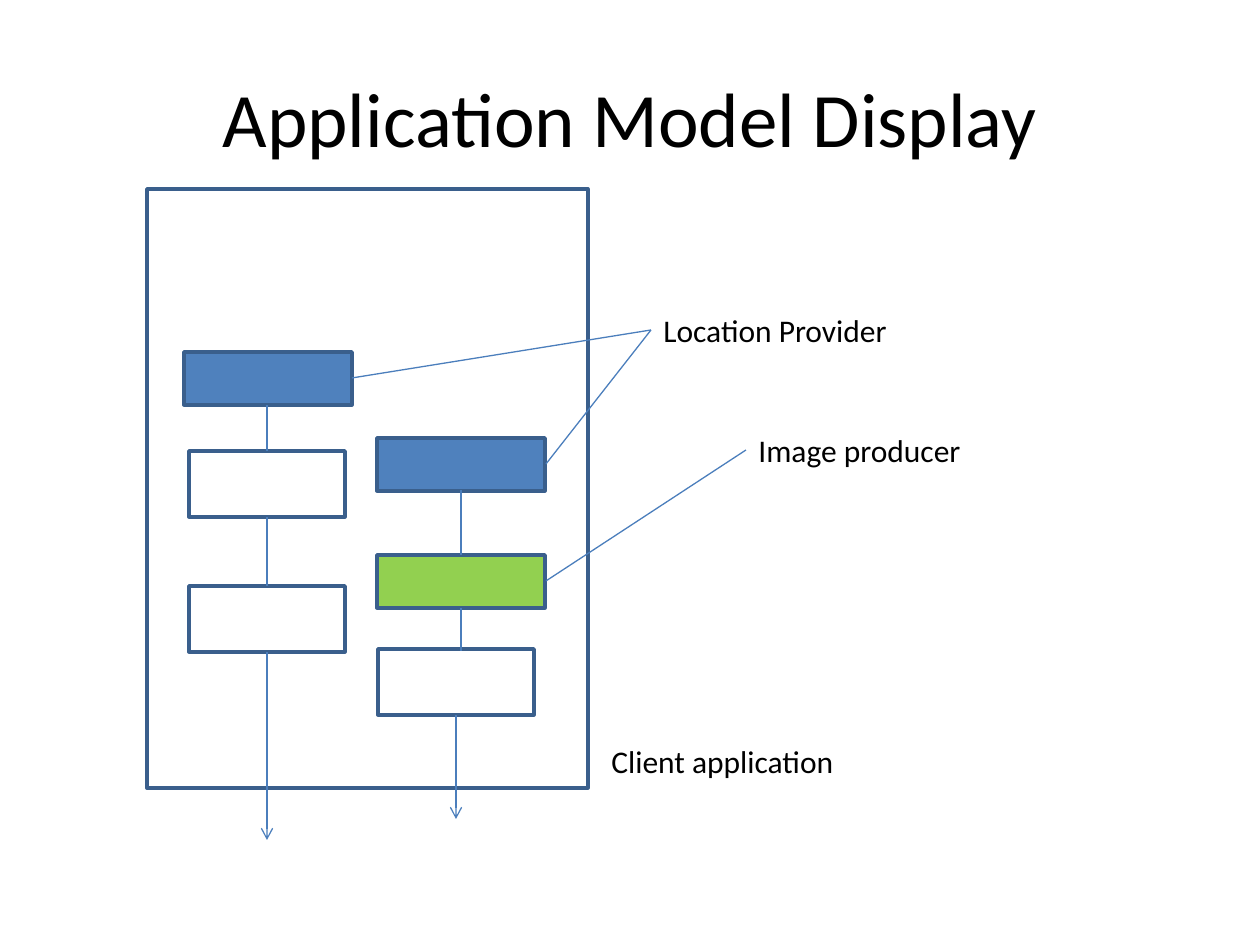
from pptx import Presentation
from pptx.dml.color import RGBColor
from pptx.enum.shapes import MSO_CONNECTOR as Connector, MSO_SHAPE as Shape
from pptx.enum.text import MSO_ANCHOR as Anchor, MSO_AUTO_SIZE as AutoSize, PP_ALIGN as Align
from pptx.oxml.ns import qn
from pptx.util import Pt
from lxml.etree import SubElement

PIXEL = 914400 // 126
BLACK = RGBColor(0, 0, 0)
BLUE = RGBColor(0x4F, 0x81, 0xBD)
GREEN = RGBColor(0x92, 0xD0, 0x50)
OUTLINE = RGBColor(0x3A, 0x5F, 0x8C)
LINK = RGBColor(0x4B, 0x7E, 0xBC)

CLIENT_FRAME = (147, 189, 441, 599)
PROVIDER_SIZE = (168, 53)
STEP_SIZE = (156, 66)
PROVIDERS = [(184, 352, BLUE), (377, 438, BLUE), (377, 555, GREEN)]
STEPS = [(189, 451), (189, 586), (378, 649)]
LABELS = [
    ("Client application", 599, 736, 251),
    ("Location Provider", 651, 305, 252),
    ("Image producer", 746, 425, 231),
]
POINTERS = [
    (352, 378, 651, 330),
    (546, 464, 651, 330),
    (546, 581, 746, 450),
]
CHAIN_LINKS = [
    (267, 405, 451),
    (267, 517, 586),
    (461, 490, 555),
    (461, 608, 651),
]
OUTPUT_ARROWS = [(267, 652, 840), (456, 715, 819)]


def scale(*pixels):
    return [pixel * PIXEL for pixel in pixels]


def apply_format(target, values):
    for name, value in values.items():
        setattr(target, name, value)


def style_text(frame, text, size, align):
    para = frame.paragraphs[0]
    para.alignment = align
    span = para.add_run()
    span.text = text
    apply_format(span.font, {"name": "Calibri", "size": Pt(size)})
    span.font.color.rgb = BLACK


def add_title(page, text):
    title = page.shapes.title
    left, top, width, height = scale(63, 38, 1134, 157)
    apply_format(title, {"left": left, "top": top, "width": width, "height": height})
    title.text_frame.vertical_anchor = Anchor.MIDDLE
    style_text(title.text_frame, text, 44, Align.CENTER)


def add_label(page, text, left, top, width):
    box = page.shapes.add_textbox(*scale(left, top, width, 50))
    apply_format(box.text_frame, {"word_wrap": False, "auto_size": AutoSize.SHAPE_TO_FIT_TEXT})
    style_text(box.text_frame, text, 18, Align.LEFT)


def add_box(page, bounds, fill=None):
    box = page.shapes.add_shape(Shape.RECTANGLE, *scale(*bounds))
    box.shadow.inherit = False
    if fill is None:
        box.fill.background()
    else:
        box.fill.solid()
        box.fill.fore_color.rgb = fill
    box.line.color.rgb = OUTLINE
    box.line.width = Pt(2)


def add_link(page, ends, arrow=False):
    link = page.shapes.add_connector(Connector.STRAIGHT, *scale(*ends))
    link.line.color.rgb = LINK
    link.line.width = Pt(0.75)
    if arrow:
        SubElement(link.line._get_or_add_ln(), qn("a:tailEnd"), type="arrow")
    SubElement(link._element.spPr, qn("a:effectLst"))


def main():
    deck = Presentation()
    deck.slide_width, deck.slide_height = scale(1260, 945)
    page = deck.slides.add_slide(deck.slide_layouts[5])
    add_title(page, "Application Model Display")
    add_box(page, CLIENT_FRAME)
    for left, top, fill in PROVIDERS:
        add_box(page, (left, top, *PROVIDER_SIZE), fill)
    for corner in STEPS:
        add_box(page, (*corner, *STEP_SIZE))
    for label in LABELS:
        add_label(page, *label)
    for ends in POINTERS:
        add_link(page, ends)
    for x, top, bottom in CHAIN_LINKS:
        add_link(page, (x, top, x, bottom))
    for x, top, bottom in OUTPUT_ARROWS:
        add_link(page, (x, top, x, bottom), arrow=True)
    deck.save("out.pptx")


main()
